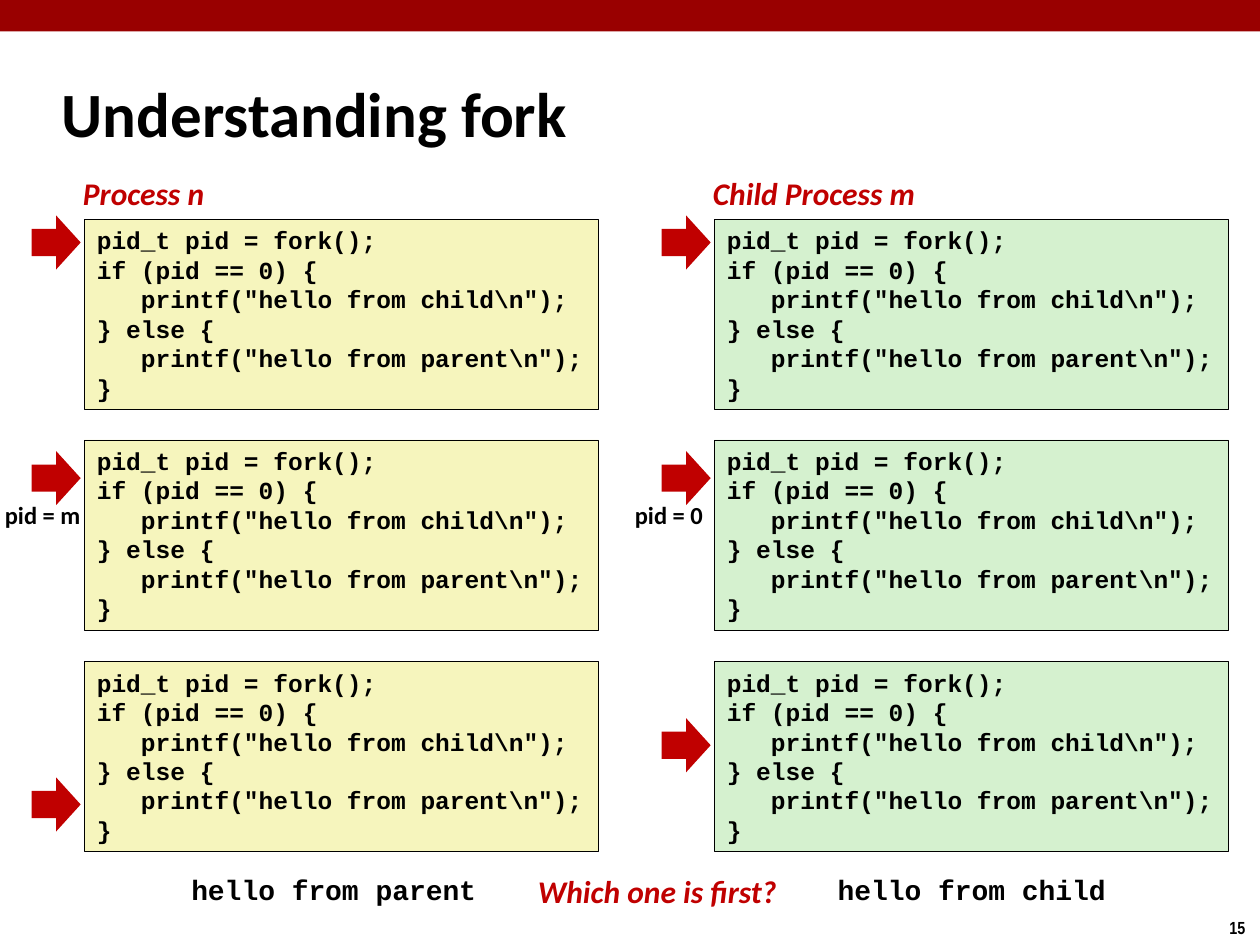
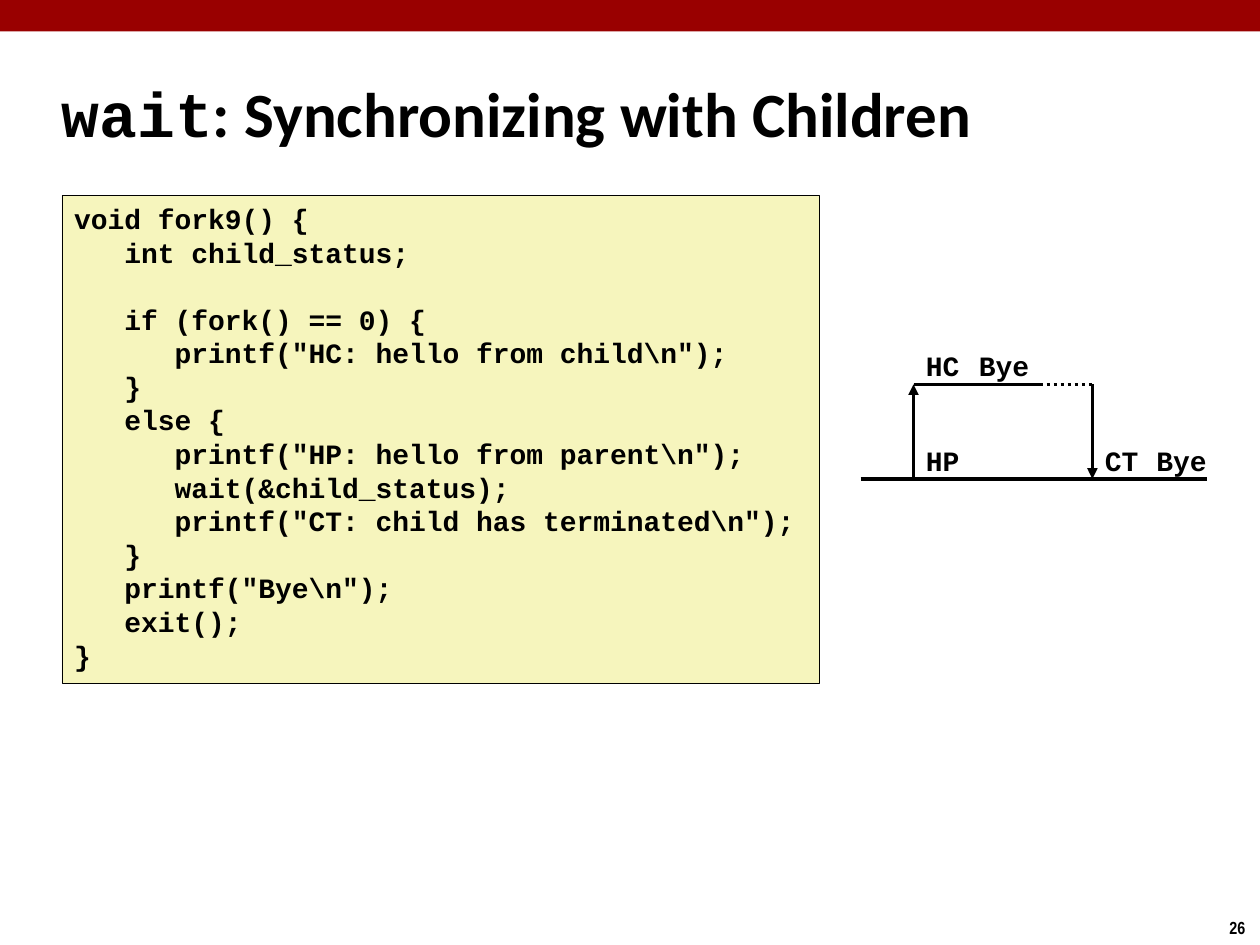
from lxml import etree
from pptx import Presentation
from pptx.dml.color import RGBColor
from pptx.enum.dml import MSO_LINE
from pptx.enum.shapes import MSO_CONNECTOR, MSO_SHAPE
from pptx.enum.text import MSO_ANCHOR, MSO_AUTO_SIZE, PP_ALIGN
from pptx.oxml.ns import qn
from pptx.util import Inches, Pt

RECT, ARROW = MSO_SHAPE.RECTANGLE, MSO_SHAPE.RIGHT_ARROW
STRAIGHT, DOTS = MSO_CONNECTOR.STRAIGHT, MSO_LINE.ROUND_DOT
TOP, MIDDLE = MSO_ANCHOR.TOP, MSO_ANCHOR.MIDDLE
LEFT, FIXED = PP_ALIGN.LEFT, MSO_AUTO_SIZE.NONE

SANS, MONO, NARROW = "Calibri", "Courier New", "Arial Narrow"
BLACK, BAND, RED = "000000", "990000", "C00000"
YELLOW, GREEN = "F6F5BD", "D5F1CF"
TITLE_ONLY = 5

FORK = r'''pid_t pid = fork();
if (pid == 0) {
   printf("hello from child\n");
} else {
   printf("hello from parent\n");
}'''

WAIT = r'''void fork9() {
   int child_status;

   if (fork() == 0) {
      printf("HC: hello from child\n");
   }
   else {
      printf("HP: hello from parent\n");
      wait(&child_status);
      printf("CT: child has terminated\n");
   }
   printf("Bye\n");
   exit();
}'''


def rgb(code):
    return RGBColor.from_string(code)


def place(left, top, width, height):
    return [Inches(n) for n in (left, top, width, height)]


def add_run(para, text, size, font=SANS, color=BLACK, italic=False):
    run = para.add_run()
    run.text = text
    face = run.font
    face.name, face.size = font, Pt(size)
    face.bold, face.italic = True, italic
    face.color.rgb = rgb(color)


def add_block(slide, kind, box, fill, edge=None):
    shape = slide.shapes.add_shape(kind, *place(*box))
    shape.shadow.inherit = False
    shape.fill.solid()
    shape.fill.fore_color.rgb = rgb(fill)
    if edge:
        shape.line.color.rgb = rgb(edge)
        shape.line.width = Pt(0.25)
    else:
        shape.line.fill.background()
    return shape


def add_label(slide, box, text, size, **style):
    frame = slide.shapes.add_textbox(*place(*box)).text_frame
    frame.word_wrap = False
    add_run(frame.paragraphs[0], text, size, **style)


def add_code(slide, box, code, size, fill):
    frame = add_block(slide, RECT, box, fill, BLACK).text_frame
    frame.word_wrap = True
    frame.vertical_anchor = TOP
    for row, text in enumerate(code.split("\n")):
        para = frame.add_paragraph() if row else frame.paragraphs[0]
        para.alignment = LEFT
        para.line_spacing = Pt(size * 1.2)
        if text:
            add_run(para, text, size, MONO)


def add_line(slide, start, end, dotted=False, arrow=False):
    ends = [Inches(n) for n in (*start, *end)]
    link = slide.shapes.add_connector(STRAIGHT, *ends)
    link.line.color.rgb = rgb(BLACK)
    link.line.width = Pt(2)
    if dotted:
        link.line.dash_style = DOTS
    props = link._element.spPr
    if arrow:
        etree.SubElement(props.find(qn("a:ln")), qn("a:tailEnd"), type="triangle")
    etree.SubElement(props, qn("a:effectLst"))


def add_base(deck, number, *parts):
    """Start a slide with the band, the page number and a title of (text, font) parts."""
    slide = deck.slides.add_slide(deck.slide_layouts[TITLE_ONLY])
    add_block(slide, RECT, (0, 0, 10, 0.25), BAND)
    add_label(slide, (9.66, 7.23, 0.34, 0.27), number, 10, font=NARROW)
    title = slide.shapes.title
    title.left, title.top, title.width, title.height = place(0.39, 0.48, 8.3, 0.83)
    frame = title.text_frame
    frame.auto_size = FIXED
    frame.vertical_anchor = MIDDLE
    para = frame.paragraphs[0]
    para.alignment = LEFT
    props = para._p.get_or_add_pPr()
    props.set("marL", str(Inches(0.13)))
    props.set("indent", str(-Inches(0.13)))
    for text, font in parts:
        add_run(para, text, 36, font)
    return slide


def add_trace(slide, left, name, width, fill, pid, steps):
    """Draw one process: three code boxes, each with an arrow at its current line."""
    add_label(slide, (left + 0.56, 1.33, width, 0.4), name, 18, color=RED, italic=True)
    for top, step in zip((1.74, 3.49, 5.25), steps):
        add_code(slide, (left + 0.67, top, 4.08, 1.51), FORK, 14, fill)
        add_block(slide, ARROW, (left + 0.25, top + step, 0.39, 0.43), RED)
    add_label(slide, (left - 0.06, 3.92, 0.81, 0.34), pid, 14)


def add_graph(slide, left, top):
    """Draw the process graph, with the child line at the top and the parent below."""
    stops = [left + n for n in (0, 0.42, 0.84, 1.42, 1.84, 2.25, 2.75)]
    base = top + 0.75
    for start, end in zip(stops, stops[1:]):
        add_line(slide, (start, base), (end, base))
    fork, bye, done, reap, last = stops[1:6]
    for start, end in ((fork, bye), (bye, done), (done, reap)):
        add_line(slide, (start, top), (end, top), dotted=start == done)
    add_line(slide, (fork, base), (fork, top), arrow=True)
    add_line(slide, (reap, top), (reap, base), arrow=True)
    marks = (("HC", fork, top), ("Bye", bye, top), ("HP", fork, base),
             ("CT", reap, base), ("Bye", last, base))
    for text, spot, level in marks:
        width = 0.2 + 0.14 * len(text)
        add_label(slide, (spot, level - 0.33, width, 0.37), text, 16, font=MONO)


def fork_slide(deck):
    slide = add_base(deck, "15", ("Understanding fork", SANS))
    add_trace(slide, 0, "Process n", 1.18, YELLOW, "pid = m", (-0.03, 0.09, 0.92))
    add_trace(slide, 5, "Child Process m", 1.83, GREEN, "pid = 0", (-0.03, 0.09, 0.45))
    add_label(slide, (1.42, 6.88, 2.5, 0.37), "hello from parent", 16, font=MONO)
    add_label(slide, (6.55, 6.88, 2.36, 0.37), "hello from child", 16, font=MONO)
    add_label(slide, (4.17, 6.87, 2.13, 0.4), "Which one is first?", 18,
              color=RED, italic=True)


def wait_slide(deck):
    slide = add_base(deck, "26", ("wait", MONO), (": Synchronizing with Children", SANS))
    add_code(slide, (0.49, 1.55, 6.01, 3.87), WAIT, 16, YELLOW)
    add_graph(slide, 6.83, 3.05)


def main():
    deck = Presentation()
    deck.slide_width, deck.slide_height = Inches(10), Inches(7.5)
    fork_slide(deck)
    wait_slide(deck)
    deck.save("out.pptx")


if __name__ == "__main__":
    main()
